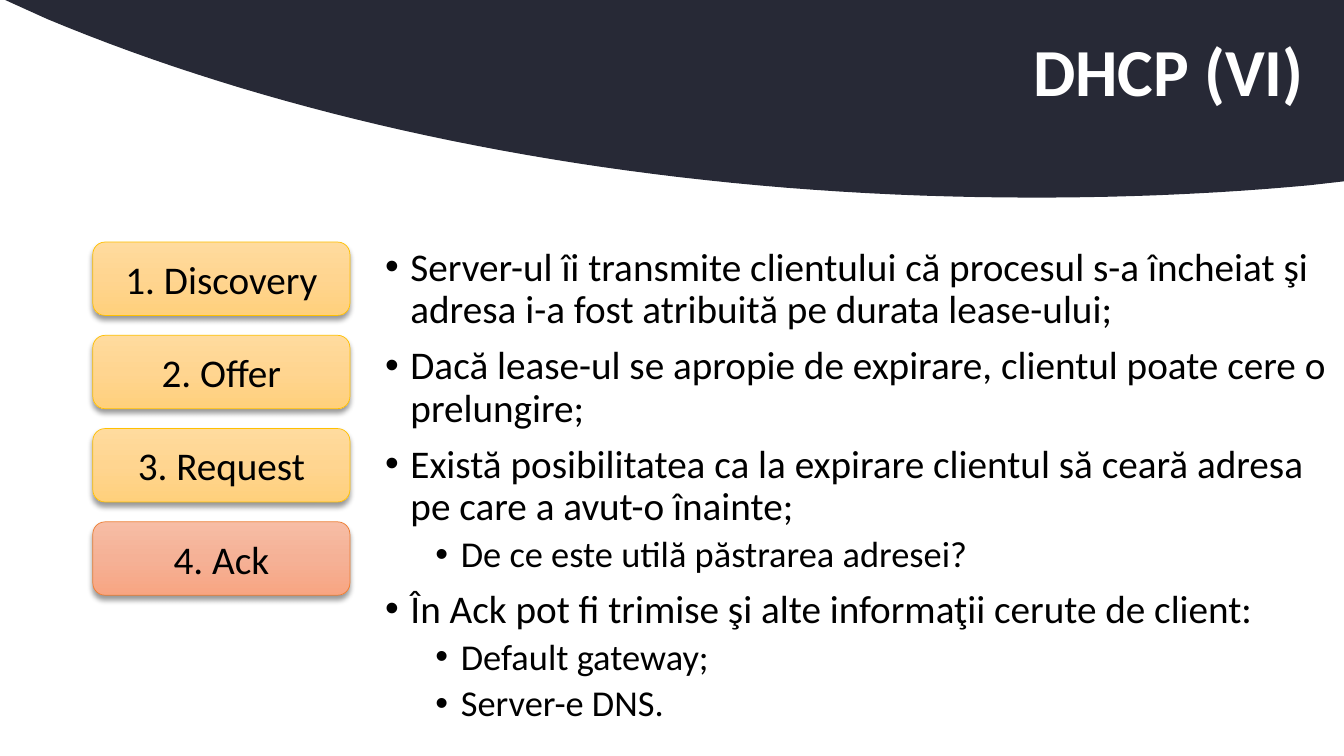
import copy
from dataclasses import dataclass

import pptx
import pptx.dml.color
import pptx.enum.shapes
import pptx.enum.text
import pptx.oxml
import pptx.oxml.ns
import pptx.util

Cm = pptx.util.Cm
Pt = pptx.util.Pt
ALIGN = pptx.enum.text.PP_ALIGN
MIDDLE = pptx.enum.text.MSO_ANCHOR.MIDDLE
qn = pptx.oxml.ns.qn
NS = pptx.oxml.ns.nsdecls("a")
YELLOW = ("FFDB9E", "FFD590", "FFD07C")
ORANGE = ("F7BDA5", "F5B196", "F8A582")


@dataclass
class Step:
    text: str
    gradient: tuple = YELLOW
    line: str = "FFC000"


@dataclass
class Item:
    text: str
    level: int = 0


STEPS = [
    Step("1. Discovery"),
    Step("2. Offer"),
    Step("3. Request"),
    Step("4. Ack", ORANGE, "ED7D31"),
]
ITEMS = [
    Item("Server-ul îi transmite clientului că procesul s-a încheiat şi "
         "adresa i-a fost atribuită pe durata lease-ului;"),
    Item("Dacă lease-ul se apropie de expirare, clientul poate cere o prelungire;"),
    Item("Există posibilitatea ca la expirare clientul să ceară adresa "
         "pe care a avut-o înainte;"),
    Item("De ce este utilă păstrarea adresei?", 1),
    Item("În Ack pot fi trimise şi alte informaţii cerute de client:"),
    Item("Default gateway;", 1),
    Item("Server-e DNS.", 1),
]


def rgb(value: str) -> pptx.dml.color.RGBColor:
    return pptx.dml.color.RGBColor.from_string(value)


def apply(obj, values: dict) -> None:
    for name, value in values.items():
        setattr(obj, name, value)


def place(sp, left: float, top: float, width: float, height: float) -> None:
    apply(sp, {"left": Cm(left), "top": Cm(top), "width": Cm(width), "height": Cm(height)})


def write(p, text: str, size: float, color: str = "000000", bold: bool = False) -> None:
    r = p.add_run()
    r.text = text
    apply(r.font, {"name": "Calibri", "size": Pt(size), "bold": bold})
    r.font.color.rgb = rgb(color)


def curve(p0: tuple, p1: tuple, p2: tuple, p3: tuple, steps: int = 40) -> list:
    """Points along a cubic Bezier curve, without its start."""
    points = []
    for i in range(1, steps + 1):
        t = i / steps
        weights = ((1 - t) ** 3, 3 * t * (1 - t) ** 2, 3 * t * t * (1 - t), t ** 3)
        points.append(tuple(sum(w * q[axis] for w, q in zip(weights, (p0, p1, p2, p3)))
                            for axis in (0, 1)))
    return points


def add_wave(s) -> None:
    edge, low, end = (32.99, 4.67), (26.06, 4.98), (1.19, 0.48)
    points = [(33.87, 0), (33.87, 4.57), edge]
    points += curve(edge, (30.73, 4.88), (28.42, 4.98), low)
    points += curve(low, (16.61, 4.98), (7.95, 3.3), end)
    builder = s.shapes.build_freeform(Cm(0.13), 0)
    builder.add_line_segments([(Cm(x), Cm(y)) for x, y in points], close=True)
    sp = builder.convert_to_shape()
    sp.shadow.inherit = False
    sp.fill.solid()
    sp.fill.fore_color.rgb = rgb("272936")
    sp.line.fill.background()
    s.shapes._spTree.insert(2, sp._element)  # behind the title


def add_item(p, item: Item) -> None:
    pPr = p._p.get_or_add_pPr()
    pPr.set("marL", str(Cm(0.64 + 1.27 * item.level)))
    pPr.set("indent", str(Cm(-0.64)))
    pPr.append(pptx.oxml.parse_xml(f'<a:buFont {NS} typeface="Arial"/>'))
    pPr.append(pptx.oxml.parse_xml(f'<a:buChar {NS} char="•"/>'))
    apply(p, {"level": item.level, "line_spacing": 0.9, "space_before": Pt((10, 5)[item.level])})
    write(p, item.text, (28, 26)[item.level])


def add_step(s, step: Step, top: float) -> None:
    sp = s.shapes.add_shape(pptx.enum.shapes.MSO_SHAPE.ROUNDED_RECTANGLE,
                            Cm(2.34), Cm(top), Cm(6.48), Cm(1.85))
    # Three-stop gradient, top to bottom
    sp.fill.gradient()
    sp.fill.gradient_angle = 270
    first = sp._element.spPr.find(".//" + qn("a:gs"))
    first.addnext(copy.deepcopy(first))
    for stop, position, color in zip(sp.fill.gradient_stops, (0, 0.5, 1), step.gradient):
        stop.position = position
        stop.color.rgb = rgb(color)
    sp.line.color.rgb = rgb(step.line)
    sp.line.width = Pt(0.5)
    # Soft shadow below
    sp.shadow.inherit = False
    sp._element.spPr.find(qn("a:effectLst")).append(pptx.oxml.parse_xml(
        f'<a:outerShdw {NS} blurRad="{Pt(4)}" dist="{Pt(3)}" dir="5400000" rotWithShape="0">'
        '<a:srgbClr val="000000"><a:alpha val="40000"/></a:srgbClr></a:outerShdw>'))
    tf = sp.text_frame
    apply(tf, {"vertical_anchor": MIDDLE, "word_wrap": True})
    tf.paragraphs[0].alignment = ALIGN.CENTER
    write(tf.paragraphs[0], step.text, 28)


def main() -> None:
    prs = pptx.Presentation()
    apply(prs, {"slide_width": Cm(33.87), "slide_height": Cm(19.05)})
    s = prs.slides.add_slide(prs.slide_layouts[1])
    no_fit = pptx.enum.text.MSO_AUTO_SIZE.NONE

    # Header
    add_wave(s)
    title, body = s.placeholders
    place(title, 2.34, 0.05, 31.54, 3.68)
    tf = title.text_frame
    apply(tf, {"vertical_anchor": MIDDLE, "margin_right": Cm(1.02), "auto_size": no_fit})
    apply(tf.paragraphs[0], {"alignment": ALIGN.RIGHT, "line_spacing": 0.9})
    write(tf.paragraphs[0], "DHCP (VI)", 48, "FFFFFF", True)

    # List
    place(body, 9.45, 6.1, 24.41, 12.42)
    tf = body.text_frame
    apply(tf, {"auto_size": no_fit, "word_wrap": True})
    for i, item in enumerate(ITEMS):
        add_item(tf.add_paragraph() if i else tf.paragraphs[0], item)
    tf.paragraphs[0].space_before = Pt(0)

    # Steps of the exchange
    for i, step in enumerate(STEPS):
        add_step(s, step, 6.1 + 2.35 * i)

    prs.save("out.pptx")


if __name__ == "__main__":
    main()
